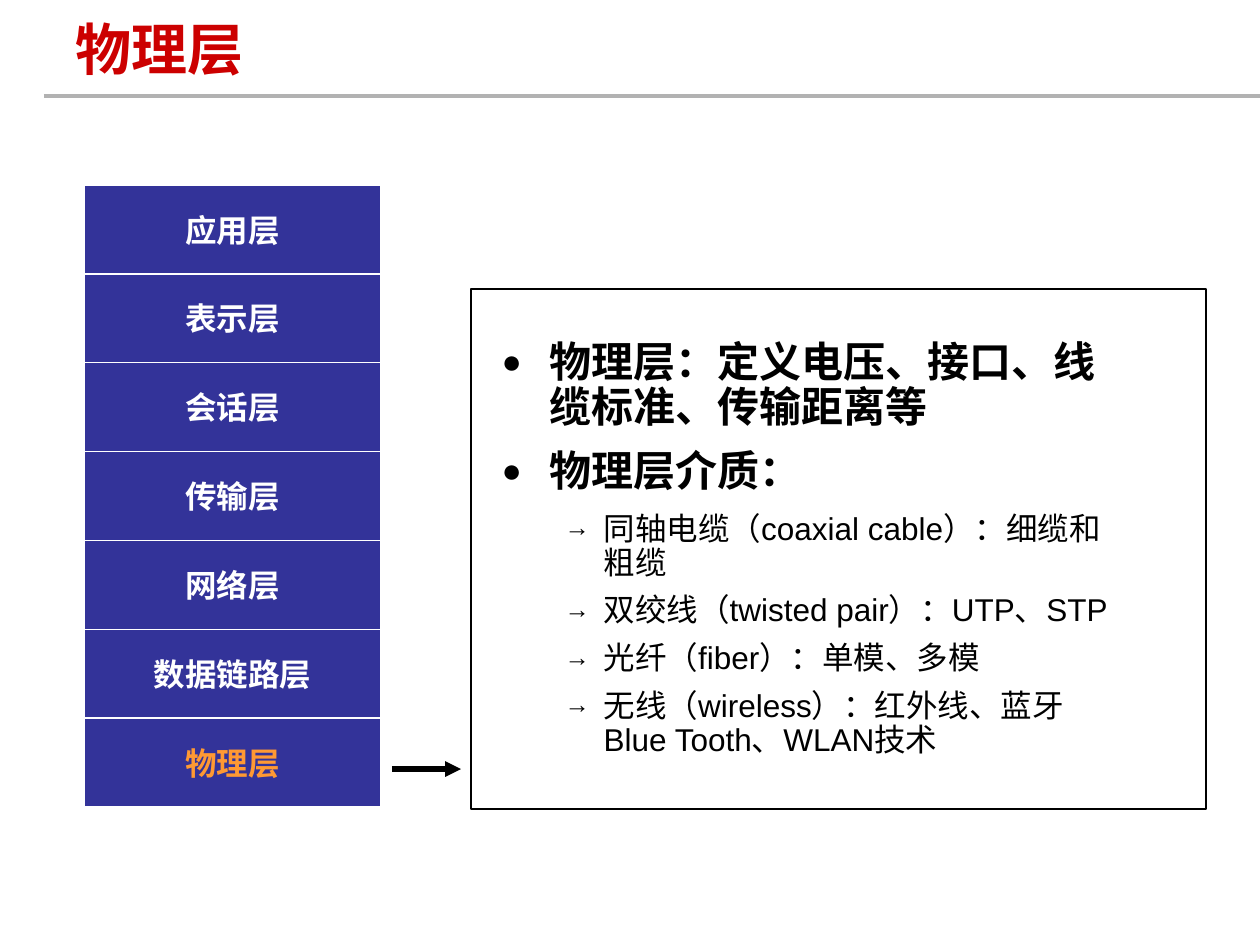
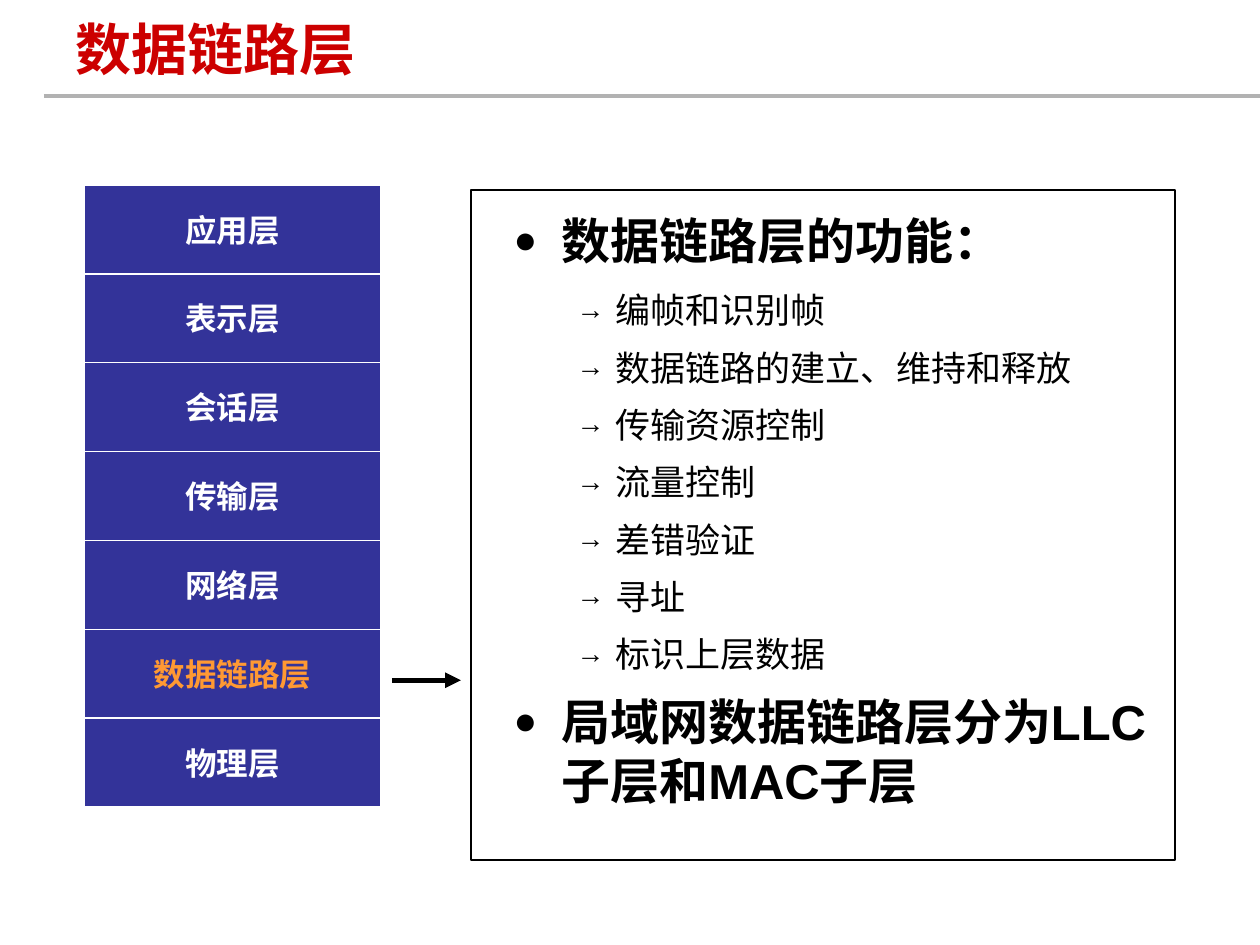
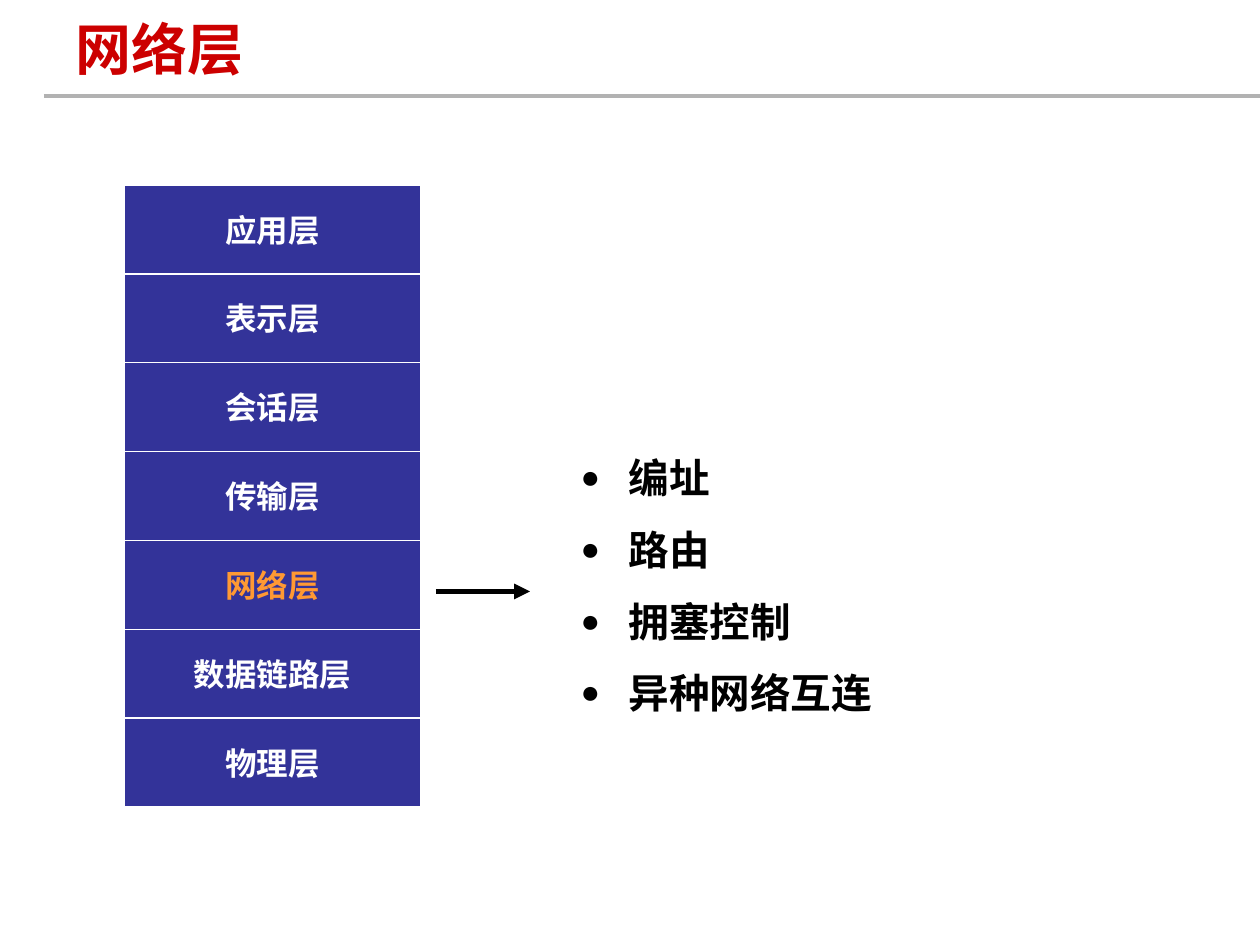
from dataclasses import dataclass

from lxml import etree
from pptx import Presentation
from pptx import util as u
from pptx.dml.color import RGBColor
from pptx.enum import shapes, text
from pptx.oxml import ns

LAYERS = ["应用层", "表示层", "会话层", "传输层", "网络层", "数据链路层", "物理层"]

LESSONS = [
    dict(
        layer="物理层", stack_left=84, arrow=(392, 461),
        frame=(471, 289, 735, 520), body=(489, 335, 638, 466),
        sizes=(24, 18), spacing_bases=(24, 18), line_spacing=0.9,
        points=[
            (0, "物理层：定义电压、接口、线缆标准、传输距离等"),
            (0, "物理层介质："),
            (1, "同轴电缆（coaxial cable）：细缆和粗缆"),
            (1, "双绞线（twisted pair）：UTP、STP"),
            (1, "光纤（fiber）：单模、多模"),
            (1, "无线（wireless）：红外线、蓝牙Blue Tooth、WLAN技术"),
        ],
    ),
    dict(
        layer="数据链路层", stack_left=84, arrow=(392, 461),
        frame=(471, 190, 704, 670), body=(501, 204, 674, 655),
        sizes=(28, 20), spacing_bases=(28, 20), line_spacing=1.0,
        points=[
            (0, "数据链路层的功能："),
            (1, "编帧和识别帧"),
            (1, "数据链路的建立、维持和释放"),
            (1, "传输资源控制"),
            (1, "流量控制"),
            (1, "差错验证"),
            (1, "寻址"),
            (1, "标识上层数据"),
            (0, "局域网数据链路层分为LLC子层和MAC子层"),
        ],
    ),
    dict(
        layer="网络层", stack_left=124, arrow=(436, 530),
        frame=None, body=(568, 447, 466, 270),
        sizes=(23.2,), spacing_bases=(30,), line_spacing=1.0,
        points=[(0, "编址"), (0, "路由"), (0, "拥塞控制"), (0, "异种网络互连")],
    ),
]


@dataclass(frozen=True)
class Theme:
    title: str = "CC0000"
    ink: str = "000000"
    layer: str = "333399"
    layer_text: str = "FFFFFF"
    active_text: str = "FF9933"
    rule: str = "B2B2B2"
    font: str = "Arial"
    layer_font: str = "Times New Roman"
    title_size: float = 32
    layer_size: float = 18
    thin: float = 0.74
    rule_width: float = 2.24
    arrow_width: float = 3


THEME = Theme()
SLIDE_SIZE = (1260, 945)
TITLE_BOX = (63, 6, 998, 84)
RULE = (44, 96, 1260, 96)
STACK_TOP, STACK_WIDTH, STACK_HEIGHT = 185, 297, 622
ROW = STACK_HEIGHT / len(LAYERS)
ARROW_DROP = 51
BULLETS = [("●", 48, 48), ("→", 102, 39)]


def px(length):
    return round(length * 914400 / 126)


def place(part, box):
    part.left, part.top, part.width, part.height = map(px, box)


def write(paragraph, words, *, size, color, font=THEME.font, bold=True,
          align=text.PP_ALIGN.LEFT):
    paragraph.alignment = align
    run = paragraph.add_run()
    run.text = words
    run.font.size = u.Pt(size)
    run.font.name = font
    run.font.bold = bold
    run.font.color.rgb = RGBColor.from_string(color)


def add_bullet(paragraph, level):
    mark, margin, hang = BULLETS[level]
    props = paragraph._p.get_or_add_pPr()
    props.set("marL", str(px(margin)))
    props.set("indent", str(-px(hang)))
    color = etree.SubElement(props, ns.qn("a:buClr"))
    etree.SubElement(color, ns.qn("a:srgbClr"), val=THEME.ink)
    etree.SubElement(props, ns.qn("a:buSzPct"), val="80000")
    etree.SubElement(props, ns.qn("a:buFont"), typeface=THEME.font)
    etree.SubElement(props, ns.qn("a:buChar"), char=mark)


def add_line(slide, ends, color, width, arrow=False):
    line = slide.shapes.add_connector(shapes.MSO_CONNECTOR.STRAIGHT, *map(px, ends))
    line.line.color.rgb = RGBColor.from_string(color)
    line.line.width = u.Pt(width)
    if arrow:
        etree.SubElement(line.line._get_or_add_ln(), ns.qn("a:tailEnd"), type="triangle")
    etree.SubElement(line.element.spPr, ns.qn("a:effectLst"))
    return line


def add_box(slide, box, line_color, fill=None):
    rect = slide.shapes.add_shape(shapes.MSO_SHAPE.RECTANGLE, *map(px, box))
    rect.shadow.inherit = False
    rect.line.color.rgb = RGBColor.from_string(line_color)
    rect.line.width = u.Pt(THEME.thin)
    if fill:
        rect.fill.solid()
        rect.fill.fore_color.rgb = RGBColor.from_string(fill)
    else:
        rect.fill.background()
    return rect


def add_title(slide, words):
    title = slide.shapes.title
    place(title, TITLE_BOX)
    title.text_frame.auto_size = text.MSO_AUTO_SIZE.NONE
    title.text_frame.vertical_anchor = text.MSO_ANCHOR.MIDDLE
    write(title.text_frame.paragraphs[0], words,
          size=THEME.title_size, color=THEME.title)


def add_points(slide, lesson):
    body = slide.placeholders[1]
    place(body, lesson["body"])
    frame = body.text_frame
    frame.auto_size = text.MSO_AUTO_SIZE.NONE
    frame.vertical_anchor = text.MSO_ANCHOR.TOP
    for index, (level, words) in enumerate(lesson["points"]):
        point = frame.add_paragraph() if index else frame.paragraphs[0]
        base = lesson["spacing_bases"][level]
        point.level = level
        point.line_spacing = lesson["line_spacing"]
        point.space_before = u.Pt(base / 8)
        point.space_after = u.Pt(base * 5 / 16)
        add_bullet(point, level)
        write(point, words, size=lesson["sizes"][level], color=THEME.ink,
              bold=level == 0)


def add_stack(slide, lesson):
    for index, name in enumerate(LAYERS):
        top = STACK_TOP + index * ROW
        active = name == lesson["layer"]
        layer = add_box(slide, (lesson["stack_left"], top, STACK_WIDTH, ROW),
                        THEME.layer_text, THEME.layer)
        layer.text_frame.word_wrap = False
        layer.text_frame.vertical_anchor = text.MSO_ANCHOR.MIDDLE
        write(layer.text_frame.paragraphs[0], name, size=THEME.layer_size,
              color=THEME.active_text if active else THEME.layer_text,
              font=THEME.layer_font, align=text.PP_ALIGN.CENTER)
        if active:
            arrow_y = top + ARROW_DROP
    start, end = lesson["arrow"]
    add_line(slide, (start, arrow_y, end, arrow_y), THEME.ink,
             THEME.arrow_width, arrow=True)


deck = Presentation()
deck.slide_width, deck.slide_height = map(px, SLIDE_SIZE)
layout = deck.slide_layouts[1]

for number, lesson in enumerate(LESSONS):
    slide = deck.slides.add_slide(layout)
    if number == 0:
        rule = add_line(slide, RULE, THEME.rule, THEME.rule_width)
        layout.shapes.element.append(rule.element)
    add_title(slide, lesson["layer"])
    add_points(slide, lesson)
    add_stack(slide, lesson)
    if lesson["frame"]:
        add_box(slide, lesson["frame"], THEME.ink)

deck.save("out.pptx")
